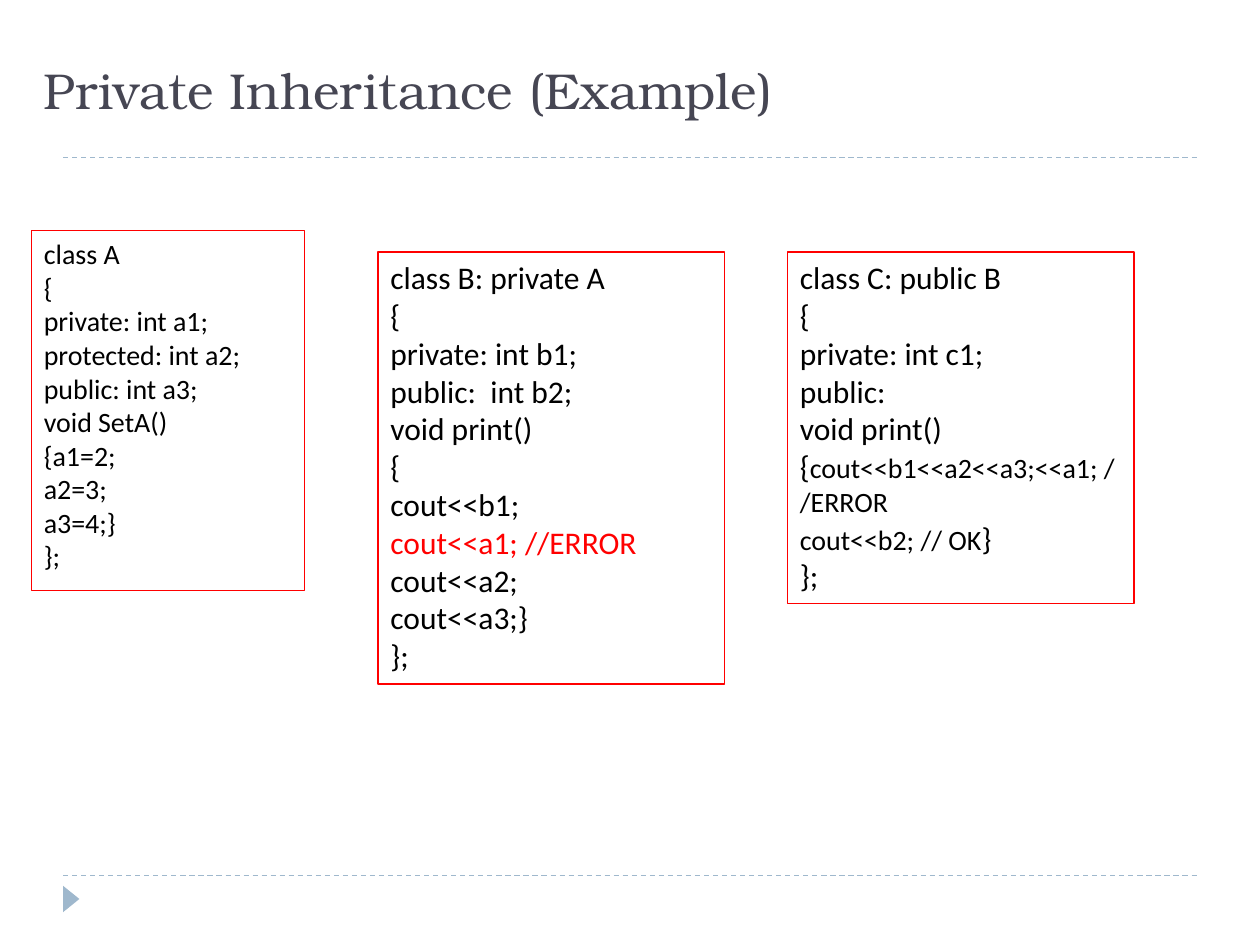
from dataclasses import dataclass

from lxml.etree import SubElement
from pptx import Presentation
from pptx.dml.color import RGBColor
from pptx.enum.dml import MSO_LINE_DASH_STYLE as Dash
from pptx.enum.shapes import MSO_CONNECTOR as Connector, MSO_SHAPE as Shape
from pptx.enum.text import MSO_ANCHOR as Anchor, MSO_AUTO_SIZE as AutoSize
from pptx.oxml.ns import qn
from pptx.util import Inches, Pt


@dataclass(frozen=True)
class Theme:
    title_font: str = "TeX Gyre Bonum"
    code_font: str = "Calibri"
    title_size: float = 28.8
    code_size: int = 18
    small_size: int = 16
    line_width: float = 0.75
    title: RGBColor = RGBColor(0x46, 0x46, 0x53)
    accent: RGBColor = RGBColor(0x9F, 0xB8, 0xCD)
    code: RGBColor = RGBColor(0, 0, 0)
    error: RGBColor = RGBColor(0xFF, 0, 0)


THEME = Theme()

CLASS_A = [
    "class A", "{", "private: int a1;", "protected: int a2;", "public: int a3;",
    "void SetA()", "{a1=2;", "a2=3;", "a3=4;}", "};",
]
CLASS_B = [
    "class B: private A", "{", "private: int b1;", "public:  int b2;", "void print()",
    "{", "cout<<b1;", "cout<<a1; //ERROR", "cout<<a2;", "cout<<a3;}", "};",
]
# A tuple is a line of code whose runs differ in size.
CLASS_C = [
    "class C: public B", "{", "private: int c1;", "public:", "void print()",
    (("{", THEME.code_size), ("cout<<b1<<a2<<a3;<<a1; //ERROR", THEME.small_size)),
    (("cout<<b2; // OK", THEME.small_size), ("}", THEME.code_size)),
    "};",
]


def set_font(font, name, size, color):
    font.name = name
    font.size = Pt(size)
    font.color.rgb = color


def add_rule(slide, y):
    rule = slide.shapes.add_connector(
        Connector.STRAIGHT, Inches(0.5), Inches(y), Inches(9.5), Inches(y))
    rule.line.color.rgb = THEME.accent
    rule.line.width = Pt(THEME.line_width)
    rule.line.dash_style = Dash.DASH
    SubElement(rule._element.spPr, qn("a:effectLst"))


def add_page_marker(slide):
    marker = slide.shapes.add_shape(
        Shape.ISOSCELES_TRIANGLE, Inches(0.46), Inches(7.07), Inches(0.21), Inches(0.13))
    marker.rotation = 90
    marker.shadow.inherit = False
    marker.fill.solid()
    marker.fill.fore_color.rgb = THEME.accent
    marker.line.fill.background()


def add_title(slide, text):
    frame = slide.shapes.add_textbox(
        Inches(0.25), Inches(0.67), Inches(9), Inches(0.33)).text_frame
    frame.word_wrap = True
    frame.vertical_anchor = Anchor.BOTTOM
    heading = frame.paragraphs[0]
    heading.text = text
    set_font(heading.font, THEME.title_font, THEME.title_size, THEME.title)


def add_code_box(slide, left, top, width, height, code, size=THEME.code_size, error_line=None):
    box = slide.shapes.add_textbox(Inches(left), Inches(top), Inches(width), Inches(height))
    box.line.color.rgb = THEME.error
    box.line.width = Pt(THEME.line_width)
    frame = box.text_frame
    frame.word_wrap = True
    frame.auto_size = AutoSize.SHAPE_TO_FIT_TEXT
    for index, line in enumerate(code):
        paragraph = frame.add_paragraph() if index else frame.paragraphs[0]
        color = THEME.error if line == error_line else THEME.code
        set_font(paragraph.font, THEME.code_font, size, color)
        if isinstance(line, str):
            paragraph.text = line
            continue
        for text, run_size in line:
            run = paragraph.add_run()
            run.text = text
            run.font.size = Pt(run_size)


def main():
    deck = Presentation()
    deck.slide_width, deck.slide_height = Inches(10), Inches(7.5)
    slide = deck.slides.add_slide(deck.slide_layouts[6])

    for y in (6.95, 1.25):
        add_rule(slide, y)
    add_page_marker(slide)
    add_title(slide, "Private Inheritance (Example)")
    add_code_box(slide, 0.25, 1.83, 2.17, 2.86, CLASS_A, size=THEME.small_size)
    add_code_box(slide, 6.25, 2, 2.75, 2.79, CLASS_C)
    add_code_box(slide, 3, 2, 2.75, 3.43, CLASS_B, error_line="cout<<a1; //ERROR")

    deck.save("out.pptx")


if __name__ == "__main__":
    main()
